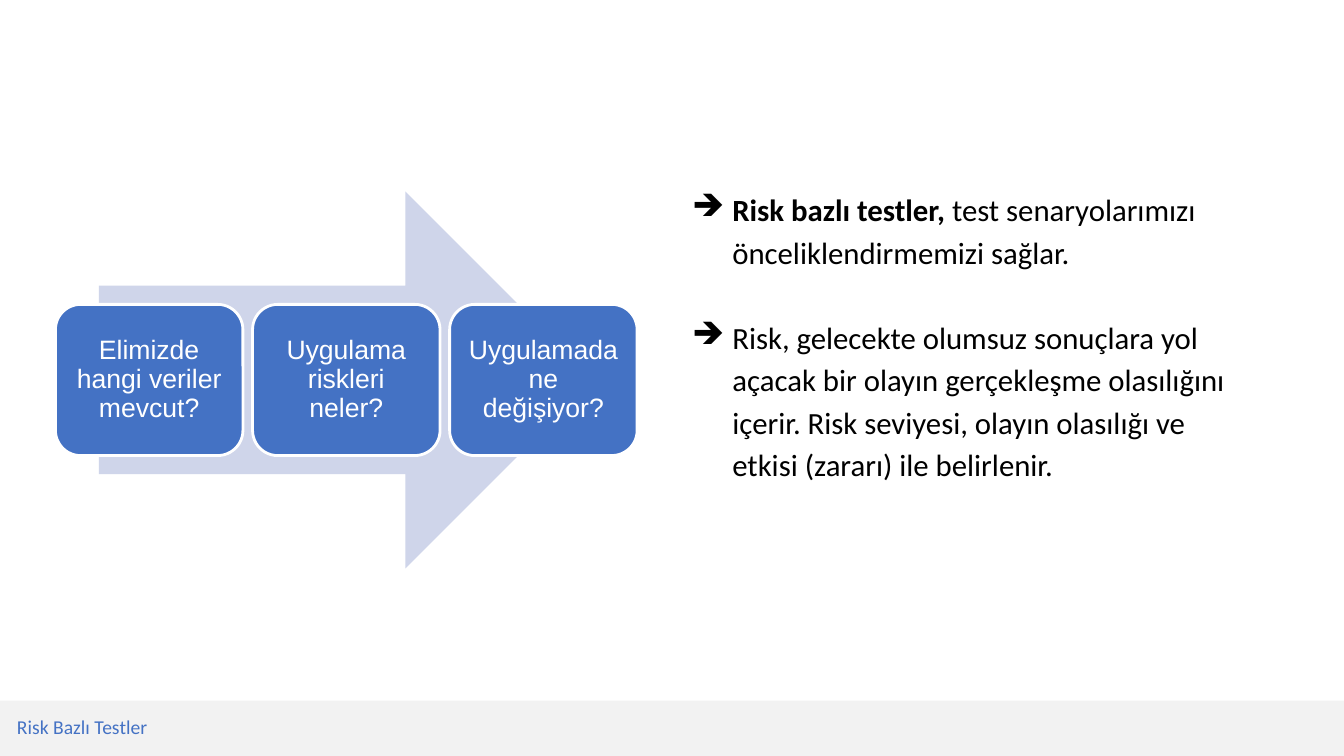
"""Builds the risk-based testing slide: a three-step arrow beside two bullets."""
from lxml import etree
from pptx import Presentation
from pptx.dml.color import RGBColor
from pptx.enum.shapes import MSO_SHAPE
from pptx.enum.text import MSO_ANCHOR, PP_ALIGN
from pptx.oxml.ns import qn
from pptx.util import Inches, Pt

RECT, ROUND, ARROW = MSO_SHAPE.RECTANGLE, MSO_SHAPE.ROUNDED_RECTANGLE, MSO_SHAPE.RIGHT_ARROW
MIDDLE, BOTTOM, CENTER = MSO_ANCHOR.MIDDLE, MSO_ANCHOR.BOTTOM, PP_ALIGN.CENTER
BLUE = RGBColor(0x44, 0x72, 0xC4)
PALE_BLUE = RGBColor(0xCF, 0xD5, 0xEA)
GRAY = RGBColor(0xF2, 0xF2, 0xF2)
WHITE = RGBColor(0xFF, 0xFF, 0xFF)
BLACK = RGBColor(0, 0, 0)

W, H = 13.33, 7.5
FOOTER_H = 0.55
STEP_LEFT, STEP_TOP, STEP_W, STEP_H, STEP_PITCH = 0.55, 3.02, 1.86, 1.5, 1.955
STEPS = ["Elimizde hangi veriler mevcut?", "Uygulama riskleri neler?", "Uygulamada ne değişiyor?"]
BULLETS = [
    [("Risk bazlı testler, ", True), ("test senaryolarımızı önceliklendirmemizi sağlar.", False)],
    [("Risk, gelecekte olumsuz sonuçlara yol açacak bir olayın gerçekleşme olasılığını "
      "içerir. Risk seviyesi, olayın olasılığı ve etkisi (zararı) ile belirlenir.", False)],
]

prs = Presentation()
prs.slide_width, prs.slide_height = Inches(W), Inches(H)
s = prs.slides.add_slide(prs.slide_layouts[6])


def add_block(kind, x, y, w, h, color):
    sp = s.shapes.add_shape(kind, Inches(x), Inches(y), Inches(w), Inches(h))
    sp.shadow.inherit = False
    sp.fill.solid()
    sp.fill.fore_color.rgb = color
    sp.line.fill.background()
    return sp


def style_run(r, size, name, color, bold=False):
    r.font.size, r.font.name, r.font.bold = Pt(size), name, bold
    r.font.color.rgb = color


add_block(RECT, 0, H - FOOTER_H, W, FOOTER_H, GRAY)
tf = s.shapes.add_textbox(Inches(0.07), Inches(7.01), Inches(5.64), Inches(0.37)).text_frame
tf.word_wrap = True
tf.vertical_anchor = BOTTOM
tf.text = "Risk Bazlı Testler"
p = tf.paragraphs[0]
p.line_spacing = 0.9
style_run(p.runs[0], 14, "Calibri", BLUE)

tf = s.shapes.add_textbox(Inches(W / 2), Inches(1.79), Inches(5.78), Inches(3.95)).text_frame
tf.word_wrap = True
for i, parts in enumerate(BULLETS):
    p = tf.add_paragraph() if i else tf.paragraphs[0]
    p.line_spacing = 1.15
    p.space_before = Pt(30.5 * i)
    pPr = p._p.get_or_add_pPr()
    pPr.set("marL", str(Inches(0.5)))
    pPr.set("indent", str(Inches(-0.4)))
    clr = etree.SubElement(pPr, qn("a:buClr"))
    etree.SubElement(clr, qn("a:srgbClr"), val=str(BLACK))
    etree.SubElement(pPr, qn("a:buChar"), char="➔")
    for text, bold in parts:
        r = p.add_run()
        r.text = text
        style_run(r, 22, "Calibri", BLACK, bold)

add_block(ARROW, 0.98, 1.9, 4.91, 3.74, PALE_BLUE)
for i, step in enumerate(STEPS):
    sp = add_block(ROUND, STEP_LEFT + i * STEP_PITCH, STEP_TOP, STEP_W, STEP_H, BLUE)
    sp.line.color.rgb = WHITE
    sp.line.width = Pt(2)
    tf = sp.text_frame
    tf.word_wrap = True
    tf.vertical_anchor = MIDDLE
    tf.margin_left = tf.margin_right = tf.margin_top = tf.margin_bottom = Inches(0.08)
    tf.text = step
    p = tf.paragraphs[0]
    p.alignment = CENTER
    p.line_spacing = 0.9
    style_run(p.runs[0], 19, "Arial", WHITE)

prs.save("out.pptx")
